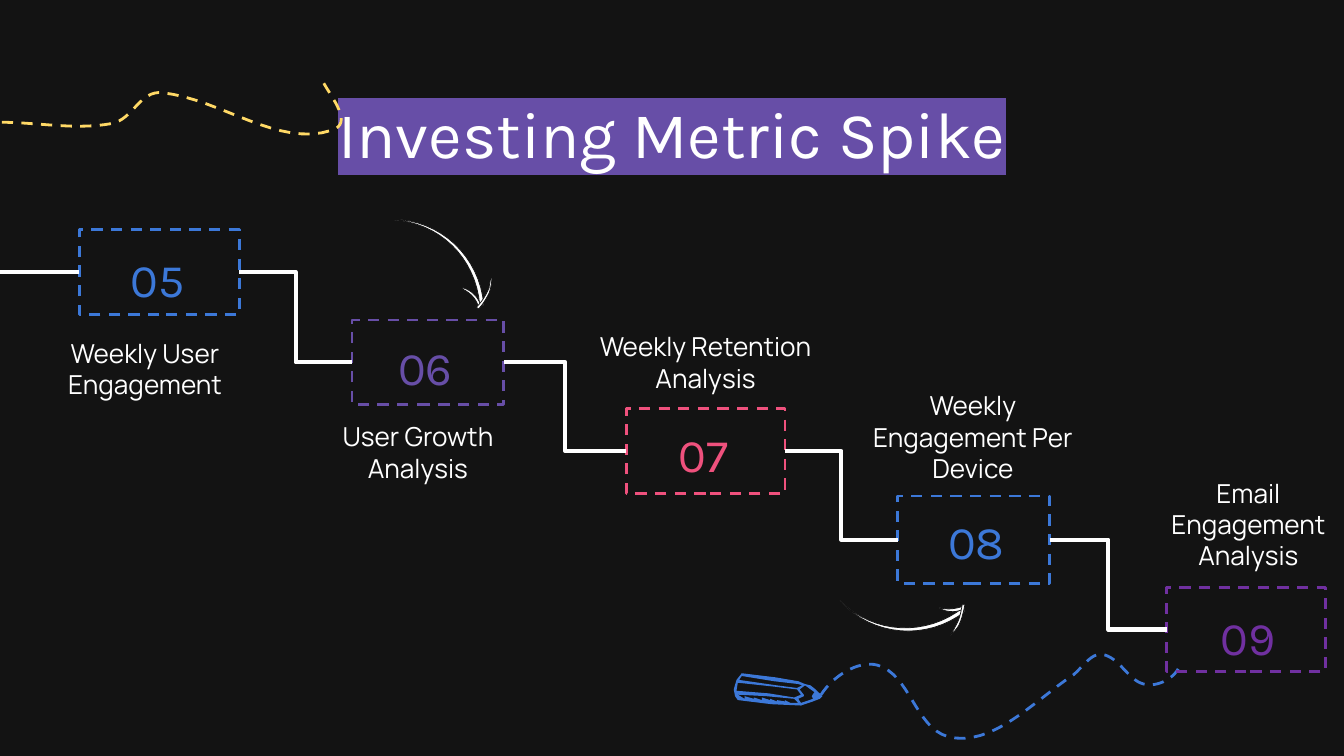
from pptx import Presentation
from pptx.dml.color import RGBColor
from pptx.enum.dml import MSO_LINE
from pptx.enum.shapes import MSO_CONNECTOR, MSO_SHAPE
from pptx.enum.text import MSO_ANCHOR, MSO_AUTO_SIZE, PP_ALIGN
from pptx.oxml.ns import qn
from pptx.util import Pt
from lxml.etree import SubElement

BLACK = RGBColor(0x13, 0x13, 0x13)
WHITE = RGBColor(0xFF, 0xFF, 0xFF)
BLUE = RGBColor(0x3C, 0x78, 0xD8)
VIOLET = RGBColor(0x67, 0x4E, 0xA7)
PINK = RGBColor(0xEF, 0x51, 0x7D)
PURPLE = RGBColor(0x70, 0x30, 0xA0)
YELLOW = RGBColor(0xFF, 0xD9, 0x66)

STEPS = [
    ("05", BLUE, (42.5, 123.1, 85.7, 45.4), (53.3, 127.4),
     "Weekly User Engagement", (11.5, 173.5)),
    ("06", VIOLET, (188.6, 171.4, 81.4, 45.4), (196.6, 174.2),
     "User Growth Analysis", (157.7, 218.2)),
    ("07", PINK, (335.5, 218.9, 85, 45.4), (345.6, 221),
     "Weekly Retention Analysis", (311.8, 169.9)),
    ("08", BLUE, (481, 265.7, 81.4, 46.8), (491.8, 267.8),
     "Weekly Engagement Per Device", (455, 201.6)),
    ("09", PURPLE, (625, 314.6, 85, 45.4), (637.2, 319),
     "Email Engagement Analysis", (602.6, 248.4)),
]

YELLOW_TRAIL = [
    (173.5, 44.6), (177.8, 52.6, 189.4, 66.2, 177.8, 69.8),
    (149, 79.2, 118.8, 53.3, 87.1, 49.7),
    (74.9, 48.2, 71.3, 64.1, 59.8, 66.2), (40.3, 69.8, 20.2, 65.5, 0, 65.5)]
BLUE_TRAIL = [
    (439.9, 372.2), (445.7, 362.9, 459.4, 353.5, 470.2, 356.4),
    (487.4, 361.4, 490.3, 389.5, 507.6, 394.6),
    (531.4, 401, 554.4, 375.1, 575.3, 361.4),
    (580.3, 357.1, 584.6, 349.9, 590.4, 350.6),
    (599.8, 352.1, 604.1, 364.3, 612.7, 366.5),
    (619.9, 368.6, 630.7, 362.9, 632.2, 355.7)]

ARROW_STROKES = [
    [(209.5, 117.4), (236.2, 117.4, 257, 137.5, 259.2, 163.4), (257, 163.4),
     (254.9, 138.2, 235.4, 118.8, 209.5, 117.7)],
    [(247.7, 154.1), (252.7, 155.5, 256.3, 159.1, 257.8, 164.2), (256.3, 164.2),
     (254.9, 159.8, 252, 157, 247.7, 154.8)],
    [(254.9, 164.2), (255.6, 164.2), (258.5, 161.3, 260.6, 157.7, 262.1, 154.1),
     (262.1, 152.6, 262.8, 150.5, 262.8, 149), (263.5, 149),
     (263.5, 151.9, 262.8, 154.8, 262.1, 157),
     (260.6, 159.8, 259.2, 162.7, 256.3, 165.6)],
    [(450, 321.8), (467.3, 341.3, 496.8, 343.4, 517, 327.6), (516.2, 325.4),
     (496.1, 341.3, 468, 339.8, 450, 321.8)],
    [(502.6, 325.4), (506.9, 328.3, 512.6, 328.3, 516.2, 326.2), (516.2, 324.7),
     (511.9, 326.2, 507.6, 326.9, 502.6, 325.4)],
    [(515.5, 324), (514.8, 328.3, 514.1, 331.9, 511.9, 335.5),
     (511.2, 337, 510.5, 338.4, 509, 339.8), (509, 340.6),
     (511.2, 338.4, 513.4, 336.2, 514.1, 334.1),
     (515.5, 331.2, 516.2, 327.6, 517, 324)],
]

PENCIL = [
    [(440.6, 373), (437, 369.4), (434.2, 367.2), (431.3, 366.5), (427.7, 365),
     (415.4, 362.9), (397.4, 360.7), (394.6, 364.3), (393.1, 369.4),
     (393.8, 373), (395.3, 375.1), (413.3, 377.3), (429.1, 378),
     (435.6, 375.8), (439.2, 374.4)],
    [(436.3, 370.8), (434.9, 373), (435.6, 374.4), (429.1, 376.6),
     (427.7, 374.4), (430.6, 373), (430.6, 372.2), (428.4, 369.4),
     (431.3, 367.2)],
    [(427.7, 376.6), (423.4, 376.6), (420.5, 375.1), (420.5, 375.8),
     (416.2, 375.1), (416.2, 375.8), (412.6, 374.4), (412.6, 375.1),
     (408.2, 373.7), (408.2, 375.1), (403.9, 373.7), (403.9, 374.4),
     (398.9, 373), (398.9, 374.4), (395.3, 372.2), (410.4, 373),
     (425.5, 374.4)],
    [(429.8, 367.2), (427, 368.6), (416.2, 367.2), (396, 364.3),
     (397.4, 362.2), (414.7, 365), (427.7, 366.5)],
    [(429.1, 372.2), (425.5, 373.7), (411.8, 371.5), (394.6, 370.1),
     (395.3, 365.8), (414.7, 367.9), (427, 369.4)],
]


def flatten(outline, n=16):
    """Turn points and cubic curves into a list of EMU points."""
    points = [outline[0]]
    for seg in outline[1:]:
        if len(seg) == 2:
            points.append(seg)
            continue
        x, y = points[-1]
        for i in range(1, n + 1):
            t = i / n
            u = 1 - t
            points.append(tuple(
                u**3 * a + 3 * u * u * t * b + 3 * u * t * t * c + t**3 * d
                for a, b, c, d in zip((x, y), seg[:2], seg[2:4], seg[4:])))
    return [(Pt(x), Pt(y)) for x, y in points]


class Deck:
    """Holds the style and the current slide."""

    def __init__(self, prs):
        self.s = prs.slides.add_slide(prs.slide_layouts[5])
        self.s.background.fill.solid()
        self.s.background.fill.fore_color.rgb = BLACK

    def set_text(self, sp, text, font, size, color):
        tf = sp.text_frame
        tf.word_wrap = True
        tf.auto_size = MSO_AUTO_SIZE.NONE
        tf.vertical_anchor = MSO_ANCHOR.TOP
        tf.margin_left = tf.margin_right = Pt(7.2)
        tf.margin_top = tf.margin_bottom = Pt(7.2)
        p = tf.paragraphs[0]
        r = p.add_run()
        r.text = text
        p.alignment = PP_ALIGN.CENTER
        p.font.name, p.font.size = font, Pt(size)
        p.font.color.rgb = color
        return r

    def title(self, text, x, y, w, h):
        sp = self.s.shapes.title
        sp.left, sp.top, sp.width, sp.height = Pt(x), Pt(y), Pt(w), Pt(h)
        r = self.set_text(sp, text, "Karla", 35, WHITE)
        mark = SubElement(r._r.get_or_add_rPr(), qn("a:highlight"))
        SubElement(mark, qn("a:srgbClr"), val=str(VIOLET))

    def text(self, text, x, y, w, h, font, size, color):
        sp = self.s.shapes.add_textbox(Pt(x), Pt(y), Pt(w), Pt(h))
        self.set_text(sp, text, font, size, color)

    def dash(self, sp, color):
        sp.shadow.inherit = False
        sp.fill.background()
        sp.line.color.rgb = color
        sp.line.width = Pt(1.5)
        sp.line.dash_style = MSO_LINE.DASH

    def box(self, x, y, w, h, color):
        sp = self.s.shapes.add_shape(
            MSO_SHAPE.RECTANGLE, Pt(x), Pt(y), Pt(w), Pt(h))
        self.dash(sp, color)
        return sp

    def connector(self, kind, end, begin=None):
        y = end.top + end.height // 2
        c = self.s.shapes.add_connector(kind, 0, y, end.left, y)
        if begin is not None:
            c.begin_connect(begin, 3)
        c.end_connect(end, 1)
        c.line.color.rgb = WHITE
        c.line.width = Pt(2.25)
        SubElement(c._element.spPr, qn("a:effectLst"))

    def freeform(self, outlines, close=True):
        first, *others = [flatten(o) for o in outlines]
        fb = self.s.shapes.build_freeform(*first[0])
        fb.add_line_segments(first[1:], close=close)
        for points in others:
            fb.move_to(*points[0])
            fb.add_line_segments(points[1:], close=close)
        return fb.convert_to_shape()

    def trail(self, outline, color):
        self.dash(self.freeform([outline], close=False), color)

    def drawing(self, outlines, color, edge=None):
        sp = self.freeform(outlines)
        sp.shadow.inherit = False
        sp.fill.solid()
        sp.fill.fore_color.rgb = color
        if edge is None:
            sp.line.fill.background()
        else:
            sp.line.color.rgb = edge
            sp.line.width = Pt(0.4)


def main():
    prs = Presentation()
    prs.slide_width, prs.slide_height = Pt(720), Pt(405)
    deck = Deck(prs)
    deck.trail(YELLOW_TRAIL, YELLOW)
    deck.trail(BLUE_TRAIL, BLUE)
    deck.drawing(PENCIL, BLUE)
    for stroke in ARROW_STROKES:
        deck.drawing([stroke], WHITE, BLACK)
    deck.title("Investing Metric Spike", 56.7, 42.5, 607, 45.4)

    boxes = [deck.box(*frame, color) for _, color, frame, *_ in STEPS]
    deck.connector(MSO_CONNECTOR.STRAIGHT, boxes[0])
    for begin, end in zip(boxes, boxes[1:]):
        deck.connector(MSO_CONNECTOR.ELBOW, end, begin)
    for number, color, _, number_at, label, label_at in STEPS:
        deck.text(number, *number_at, 62.6, 36, "Karla", 25, color)
        deck.text(label, *label_at, 132.5, 67.7, "Manrope", 14, WHITE)
    prs.save("out.pptx")


if __name__ == "__main__":
    main()
